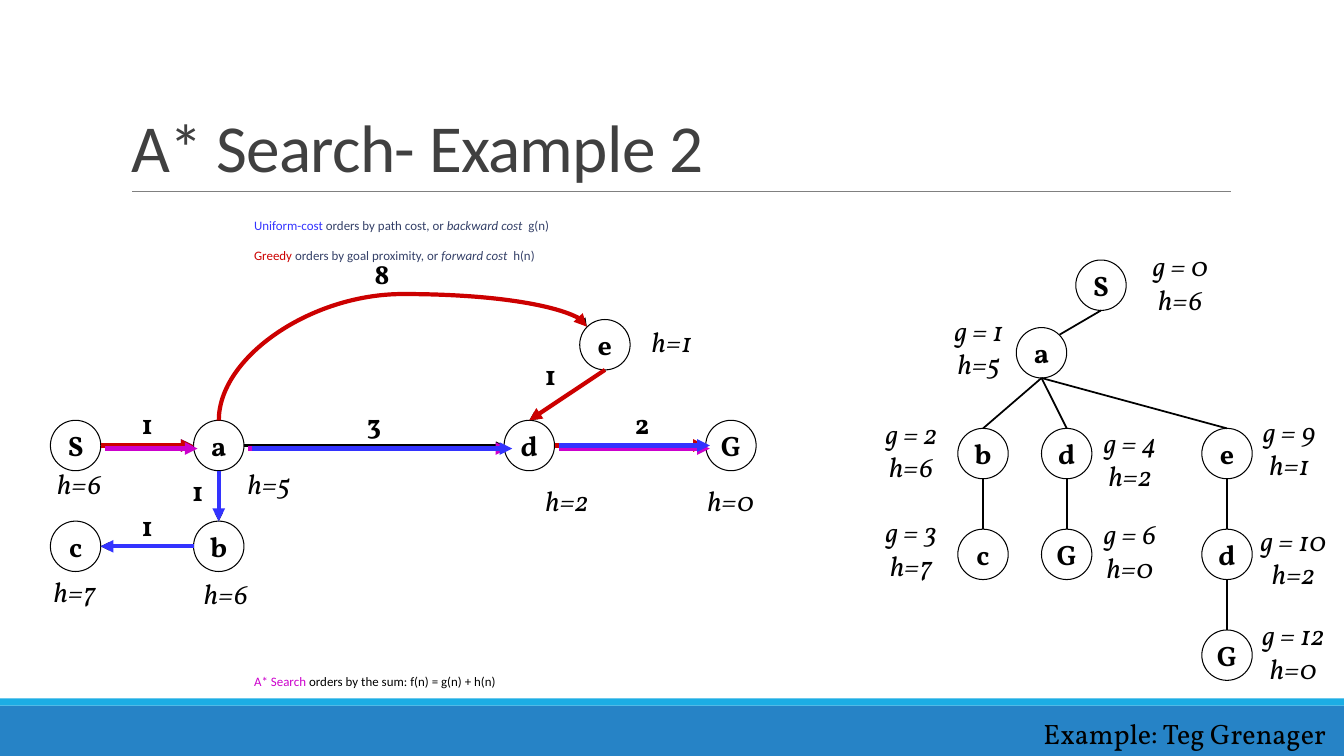
from dataclasses import dataclass
from typing import NamedTuple

from lxml import etree
from pptx import Presentation
from pptx.dml.color import RGBColor
from pptx.enum.shapes import MSO_CONNECTOR, MSO_SHAPE
from pptx.enum.text import MSO_ANCHOR, MSO_AUTO_SIZE, PP_ALIGN
from pptx.oxml.ns import qn
from pptx.util import Inches, Pt

STRAIGHT, CURVE = MSO_CONNECTOR.STRAIGHT, MSO_CONNECTOR.CURVE
RECT, OVAL = MSO_SHAPE.RECTANGLE, MSO_SHAPE.OVAL
LEFT, CENTER, RIGHT = PP_ALIGN.LEFT, PP_ALIGN.CENTER, PP_ALIGN.RIGHT
TOP, MIDDLE, BOTTOM = MSO_ANCHOR.TOP, MSO_ANCHOR.MIDDLE, MSO_ANCHOR.BOTTOM
NO_FIT = MSO_AUTO_SIZE.NONE


@dataclass(frozen=True)
class Theme:
    sans: str = "Calibri"
    serif: str = "Vollkorn"
    title_size: float = 48
    body_size: float = 9.2
    graph_size: float = 20
    black: str = "000000"
    white: str = "FFFFFF"
    title: str = "404040"
    body: str = "344068"
    rule: str = "808080"
    footer: str = "2683C6"
    accent: str = "1CADE4"
    uniform: str = "3333FF"
    greedy: str = "CC0000"
    astar: str = "CC00CC"


class Node(NamedTuple):
    name: str
    left: float
    top: float


class Label(NamedTuple):
    text: str
    left: float
    top: float
    width: float


class Edge(NamedTuple):
    start: Node
    start_side: str
    end: Node
    end_side: str


class Run(NamedTuple):
    text: str
    color: str
    italic: bool = False


T = Theme()
DIAMETER = 0.5
DIAG = 0.18
PORTS = {"left": (-0.25, 0), "right": (0.25, 0), "top": (0, -0.25), "bottom": (0, 0.25),
         "top left": (-DIAG, -DIAG), "top right": (DIAG, -DIAG)}

prs = Presentation()
prs.slide_width, prs.slide_height = Inches(13.33), Inches(7.5)
s = prs.slides.add_slide(prs.slide_layouts[1])


def place(sp, left: float, top: float, width: float, height: float) -> None:
    sp.left, sp.top, sp.width, sp.height = map(Inches, (left, top, width, height))


def add_run(p, text: str, *, size: float = T.graph_size, font: str = T.serif,
            color: str = T.black, bold: bool = False, italic: bool = False):
    r = p.add_run()
    r.text = text
    f = r.font
    f.size, f.name, f.bold, f.italic = Pt(size), font, bold, italic
    f.color.rgb = RGBColor.from_string(color)
    return r


def add_preset(kind, left: float, top: float, width: float, height: float, fill: str):
    sp = s.shapes.add_shape(kind, *map(Inches, (left, top, width, height)))
    sp.shadow.inherit = False
    sp.fill.solid()
    sp.fill.fore_color.rgb = RGBColor.from_string(fill)
    sp.line.fill.background()
    return sp


def add_node(node: Node) -> None:
    sp = add_preset(OVAL, node.left, node.top, DIAMETER, DIAMETER, T.white)
    sp.line.color.rgb = RGBColor.from_string(T.black)
    sp.line.width = Pt(0.75)
    tf = sp.text_frame
    tf.word_wrap, tf.vertical_anchor = False, MIDDLE
    p = tf.paragraphs[0]
    p.alignment = CENTER
    add_run(p, node.name, bold=True)


def add_label(label: Label, height: float = 0.43, align=CENTER, **fmt) -> None:
    sp = s.shapes.add_textbox(*map(Inches, (label.left, label.top, label.width, height)))
    tf = sp.text_frame
    tf.word_wrap = True
    p = tf.paragraphs[0]
    p.alignment = align
    add_run(p, label.text, **fmt)


def add_line(start: tuple, end: tuple, color: str, width: float,
             arrow: bool = False, kind=STRAIGHT):
    c = s.shapes.add_connector(kind, *map(Inches, (*start, *end)))
    c.line.color.rgb = RGBColor.from_string(color)
    c.line.width = Pt(width)
    sp_pr = c.element.spPr
    if arrow:
        etree.SubElement(sp_pr.find(qn("a:ln")), qn("a:tailEnd"), type="triangle")
    etree.SubElement(sp_pr, qn("a:effectLst"))
    return c


def port(node: Node, side: str, dx: float = 0, dy: float = 0) -> tuple[float, float]:
    px, py = PORTS[side]
    return node.left + DIAMETER / 2 + px + dx, node.top + DIAMETER / 2 + py + dy


def add_edge(edge: Edge, color: str = T.black, width: float = 1.5,
             arrow: bool = True, dx: float = 0, dy: float = 0) -> None:
    add_line(port(edge.start, edge.start_side, dx, dy),
             port(edge.end, edge.end_side, dx, dy), color, width, arrow)


def add_arc(edge: Edge, color: str = T.black, width: float = 1.5) -> None:
    """A curved connector turned a quarter left, so that it bulges upward."""
    (x1, y1), (x2, y2) = port(edge.start, edge.start_side), port(edge.end, edge.end_side)
    rise, run = y1 - y2, x2 - x1
    left, top = (x1 + x2 - rise) / 2, (y1 + y2 - run) / 2
    c = add_line((left, top), (left + rise, top + run), color, width, True, CURVE)
    c.element.spPr.find(qn("a:xfrm")).set("rot", "16200000")
    guides = c.element.spPr.find(qn("a:prstGeom")).get_or_add_avLst()
    etree.SubElement(guides, qn("a:gd"), name="adj1", fmla="val 134800")


# Footer bands and title rule
add_preset(RECT, 0, 7, 13.33, 0.5, T.footer)
add_preset(RECT, 0, 6.93, 13.33, 0.07, T.accent)
add_line((1.31, 1.9), (12.21, 1.9), T.rule, 0.5)

# Title
title = s.shapes.title
place(title, 1.2, 0.31, 11, 1.59)
tf = title.text_frame
tf.auto_size, tf.vertical_anchor, tf.word_wrap = NO_FIT, BOTTOM, True
p = tf.paragraphs[0]
p.alignment, p.line_spacing = LEFT, 0.85
r = add_run(p, "A* Search- Example 2", size=T.title_size, font=T.sans, color=T.title)
r.font._element.set("spc", "-50")

# Search strategies: space before in points, then the runs
STRATEGIES = [
    (0, [Run("Uniform-cost ", T.uniform), Run("orders by path cost, or ", T.body),
         Run("backward cost  ", T.body, True), Run("g(n)", T.body)]),
    (12, [Run("Greedy ", T.greedy), Run("orders by goal proximity, or ", T.body),
          Run("forward cost  ", T.body, True), Run("h(n)", T.body)]),
    (294.5, [Run("A* Search", T.astar),
             Run(" orders by the sum: f(n) = g(n) + h(n)", T.black)]),
]
body = s.placeholders[1]
place(body, 2.42, 1.5, 9, 5.5)
tf = body.text_frame
tf.auto_size, tf.vertical_anchor, tf.word_wrap = NO_FIT, TOP, True
tf.margin_left = tf.margin_right = 0
tf.margin_top, tf.margin_bottom = Inches(0.7), Inches(0.05)
for i, (before, runs) in enumerate(STRATEGIES):
    p = tf.add_paragraph() if i else tf.paragraphs[0]
    p.alignment, p.line_spacing = LEFT, 0.7
    p.space_before, p.space_after = Pt(before), Pt(2)
    p_pr = p._p.get_or_add_pPr()
    p_pr.set("marL", str(Inches(0.1)))
    p_pr.set("indent", "0")
    etree.SubElement(p_pr, qn("a:buNone"))
    for run in runs:
        add_run(p, run.text, size=T.body_size, font=T.sans, color=run.color, italic=run.italic)

# Search graph
S, a, d, G = (Node(n, x, 4.17) for n, x in (("S", 0.5), ("a", 1.92), ("d", 5), ("G", 7)))
c, b, e = Node("c", 0.5, 5.17), Node("b", 1.92, 5.17), Node("e", 5.75, 3.17)
SA, AD, DG = (Edge(m, "right", n, "left") for m, n in ((S, a), (a, d), (d, G)))
AB, BC = Edge(a, "bottom", b, "top"), Edge(b, "left", c, "right")
ED, AE = Edge(e, "bottom", d, "top"), Edge(a, "top", e, "top left")
for edge in (SA, AD, DG, AB, BC, ED):
    add_edge(edge)
add_arc(AE)
for node in (S, a, d, G, b, c, e):
    add_node(node)

HEURISTICS = [Label("h=6", 0.33, 4.58, 0.92), Label("h=5", 2.17, 4.58, 1),
              Label("h=6", 1.83, 5.67, 0.83), Label("h=7", 0.33, 5.65, 0.83),
              Label("h=2", 5.25, 4.75, 0.75), Label("h=0", 6.75, 4.75, 1),
              Label("h=1", 6.25, 3.17, 0.83)]
STEP_COSTS = [Label("1", 1.17, 3.98, 0.58), Label("3", 3.42, 3.98, 0.58),
              Label("2", 6.08, 3.98, 0.58), Label("1", 1.67, 4.65, 0.58),
              Label("1", 1.17, 5, 0.58), Label("8", 3.58, 2.5, 0.42),
              Label("1", 5.17, 3.5, 0.58)]
for label in HEURISTICS:
    add_label(label, italic=True)
for label in STEP_COSTS:
    add_label(label, bold=True)

# Paths taken by each strategy
for edge in (SA, AB, BC):
    add_edge(edge, T.uniform, 3)
for edge in (DG, ED, SA):
    add_edge(edge, T.greedy, 3)
add_arc(AE, T.greedy, 3)
for edge in (DG, SA, AD):
    add_edge(edge, T.astar, 3, dx=0.04, dy=0.03)
add_edge(DG, T.uniform, 3, dx=0.04)
add_edge(AD, T.uniform, 3, dx=0.08, dy=0.03)

# Search tree
root, ta = Node("S", 10.67, 2.58), Node("a", 10.08, 3.25)
tb, td, te = (Node(n, x, 4.25) for n, x in (("b", 9.5), ("d", 10.33), ("e", 11.92)))
tc, tg, ted = (Node(n, x, 5.25) for n, x in (("c", 9.5), ("G", 10.33), ("d", 11.92)))
goal = Node("G", 11.92, 6.25)
for node in (root, ta, tb, td, te, tc, tg, ted, goal):
    add_node(node)
add_edge(Edge(root, "bottom", ta, "top right"), width=1.25, arrow=False)
for parent, child in ((ta, tb), (ta, td), (ta, te), (tb, tc), (td, tg), (te, ted), (ted, goal)):
    add_edge(Edge(parent, "bottom", child, "top"), width=1.25, arrow=False)

TREE_COSTS = [Label("g = 0 h=6", 11.25, 2.42, 0.92), Label("g = 1 h=5", 9.25, 3.06, 0.92),
              Label("g = 2 h=6", 8.58, 4.08, 0.92), Label("g = 3 h=7", 8.58, 5.06, 0.92),
              Label("g = 4 h=2", 10.75, 4.17, 0.92), Label("g = 6 h=0", 10.75, 5.08, 0.92),
              Label("g = 9 h=1", 12.33, 4.06, 0.92), Label("g = 10 h=2", 12.33, 5.14, 1),
              Label("g = 12 h=0", 12.33, 6.08, 1)]
for label in TREE_COSTS:
    add_label(label, height=0.77, italic=True)

# Credit
add_label(Label("Example: Teg Grenager", 10.17, 7.06, 3.08), height=0.44, align=RIGHT)

prs.save("out.pptx")
